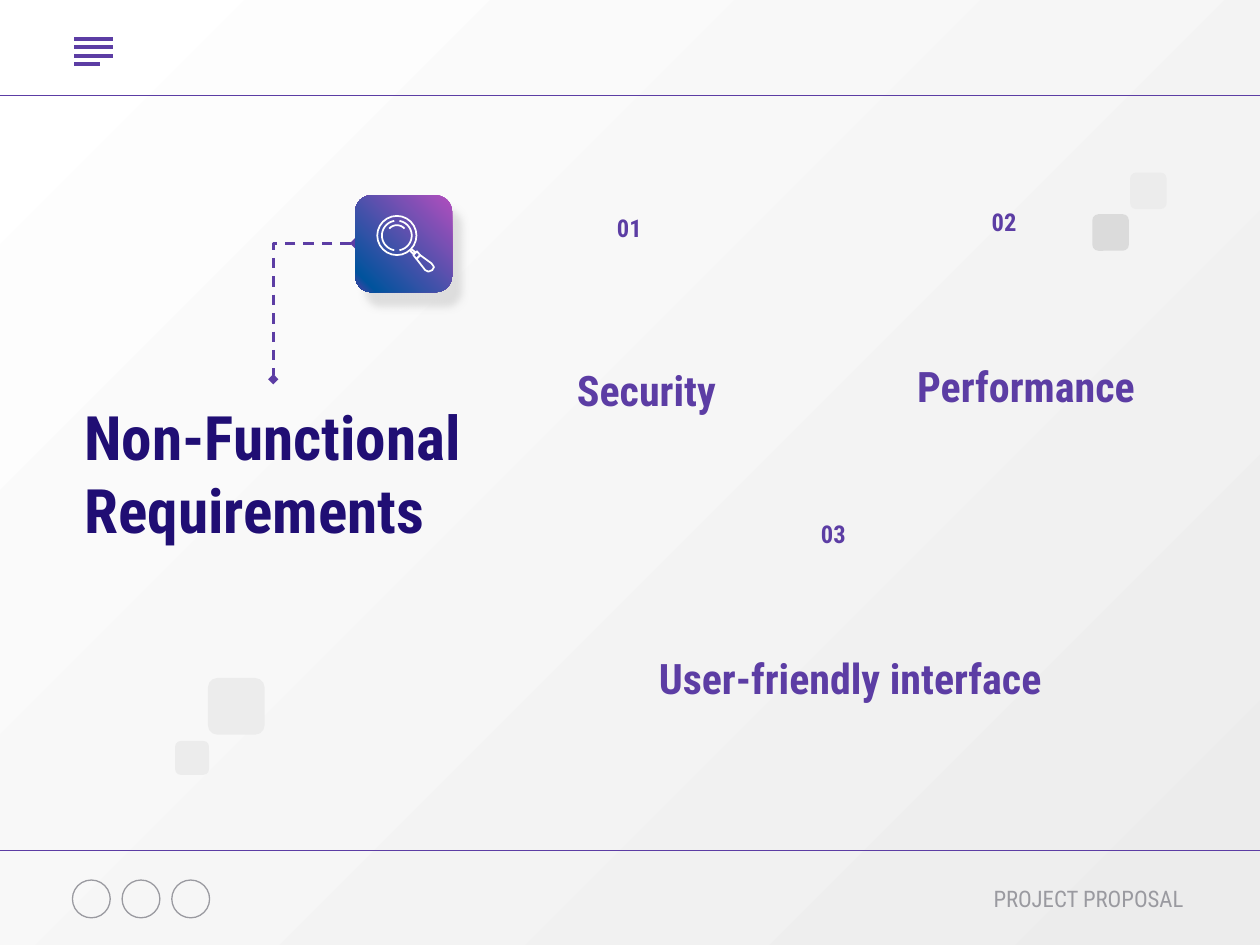
from copy import deepcopy
from math import cos, radians, sin

from lxml import etree
from pptx import Presentation
from pptx.dml.color import RGBColor
from pptx.enum.dml import MSO_LINE
from pptx.enum.shapes import MSO_CONNECTOR, MSO_SHAPE
from pptx.enum.text import MSO_ANCHOR, MSO_AUTO_SIZE, PP_ALIGN
from pptx.oxml.ns import qn
from pptx.util import Pt

LEFT, CENTER, RIGHT = PP_ALIGN.LEFT, PP_ALIGN.CENTER, PP_ALIGN.RIGHT
TOP, MIDDLE = MSO_ANCHOR.TOP, MSO_ANCHOR.MIDDLE
STRAIGHT, ELBOW = MSO_CONNECTOR.STRAIGHT, MSO_CONNECTOR.ELBOW
ROUNDED, OVAL = MSO_SHAPE.ROUNDED_RECTANGLE, MSO_SHAPE.OVAL


class Theme:
    font = "Roboto Condensed"
    purple = RGBColor.from_string("5C3DA4")
    navy = RGBColor.from_string("200E74")
    gray = RGBColor.from_string("9A9AA0")
    white = RGBColor.from_string("FFFFFF")
    pale = RGBColor.from_string("ECECEC")
    silver = RGBColor.from_string("DBDBDB")
    orchid = RGBColor.from_string("B24EBE")
    blue = RGBColor.from_string("01539D")
    shadow = "CCCCCC"
    title_size, heading_size, number_size, footer_size = 35, 24, 14, 13


def write_text(holder, text, box, *, size, color, bold=True, align=LEFT,
               anchor=MIDDLE, inset=7.2):
    holder.left, holder.top, holder.width, holder.height = map(Pt, box)
    frame = holder.text_frame
    frame.word_wrap = True
    frame.auto_size = MSO_AUTO_SIZE.NONE
    frame.vertical_anchor = anchor
    frame.margin_left = frame.margin_right = Pt(7.2)
    frame.margin_top = frame.margin_bottom = Pt(inset)
    paragraph = frame.paragraphs[0]
    paragraph.alignment = align
    paragraph.line_spacing = 1.0
    paragraph.space_before = Pt(0)
    run = paragraph.add_run()
    run.text = text
    run.font.name, run.font.size, run.font.bold = Theme.font, Pt(size), bold
    run.font.color.rgb = color


def style_line(shape, color, width):
    """Give an outline its colour and width, without fill or shadow."""
    shape.line.color.rgb = color
    shape.line.width = Pt(width)
    if hasattr(shape, "fill"):
        shape.fill.background()
        shape.shadow.inherit = False
    else:
        etree.SubElement(shape._element.spPr, qn("a:effectLst"))


prs = Presentation()
prs.slide_width, prs.slide_height = Pt(720), Pt(540)
slide = prs.slides.add_slide(prs.slide_layouts[0])
shapes = slide.shapes

# Background
backdrop = slide.background.fill
backdrop.gradient()
backdrop.gradient_angle = 315
for stop, color in zip(backdrop.gradient_stops, (Theme.white, Theme.pale)):
    stop.color.rgb = color
backdrop.gradient_stops[0].position = 0
backdrop.gradient_stops[1].position = 1

# Header and footer rules, then the menu bars
rules = [(-3.6, 723.6, y, 0.75) for y in (54.7, 486)]
menu_bars = [(42.5, 56.9 if row == 3 else 64.8, 22.3 + 4.8 * row, 2.25)
             for row in range(4)]
for start, end, y, width in rules + menu_bars:
    bar = shapes.add_connector(STRAIGHT, Pt(start), Pt(y), Pt(end), Pt(y))
    style_line(bar, Theme.purple, width)

# Plain rings for the social links
for column in range(3):
    ring = shapes.add_shape(OVAL, Pt(41.4 + 28.4 * column), Pt(502.9), Pt(21.6), Pt(21.6))
    style_line(ring, Theme.gray, 0.75)

# Title and footer
write_text(shapes.title, "Non-Functional Requirements", (41, 216.7, 231.1, 106.6),
           size=Theme.title_size, color=Theme.navy)
write_text(slide.placeholders[1], "PROJECT PROPOSAL", (503.3, 497.5, 180, 31.7),
           size=Theme.footer_size, color=Theme.gray, bold=False, align=RIGHT)

# Requirements: number and heading
requirements = [
    ("01", (331.2, 118.1, 56.9, 51.1), "Security", (322.6, 170.6, 153.4, 103.7)),
    ("02", (541.4, 114.5, 64.8, 51.1), "Performance", (517, 208.1, 213.8, 24.5)),
    ("03", (444.2, 293, 64.1, 51.1), "User-friendly interface",
     (369.4, 366.5, 237.6, 41.8)),
]
for number, number_box, heading, heading_box in requirements:
    write_text(shapes.add_textbox(0, 0, 0, 0), number, number_box, size=Theme.number_size,
               color=Theme.purple, align=CENTER, anchor=TOP, inset=3.6)
    write_text(shapes.add_textbox(0, 0, 0, 0), heading, heading_box,
               size=Theme.heading_size, color=Theme.purple)

# Dashed link from the icon card down to the title
link = shapes.add_connector(ELBOW, Pt(203), Pt(139), Pt(156.2), Pt(216.7))
link._element.spPr.find(qn("a:prstGeom")).set("prst", "bentConnector2")
style_line(link, Theme.purple, 1.5)
link.line.dash_style = MSO_LINE.DASH
link_line = link._element.spPr.find(qn("a:ln"))
for end in ("a:headEnd", "a:tailEnd"):
    etree.SubElement(link_line, qn(end), type="diamond")

# Decorative tiles
tiles = [
    (624.2, 122.4, 20.9, Theme.silver),
    (645.8, 98.6, 20.9, Theme.pale),
    (118.8, 387.4, 32.4, Theme.pale),
    (100.1, 423.4, 19.4, Theme.pale),
]
for left, top, side, color in tiles:
    tile = shapes.add_shape(ROUNDED, Pt(left), Pt(top), Pt(side), Pt(side))
    tile.adjustments[0] = 0.167
    tile.fill.solid()
    tile.fill.fore_color.rgb = color
    tile.line.fill.background()
    tile.shadow.inherit = False

# Icon card with a three-stop gradient and a soft shadow
card = shapes.add_shape(ROUNDED, Pt(203), Pt(111.6), Pt(55.4), Pt(55.4))
card.adjustments[0] = 0.167
card.line.fill.background()
card.fill.gradient()
card.fill.gradient_angle = 225
stop_list = card._element.spPr.find(".//" + qn("a:gsLst"))
stop_list.append(deepcopy(stop_list[-1]))
card_stops = [(0, Theme.orchid), (0.89, Theme.blue), (1, Theme.purple)]
for stop, (position, color) in zip(card.fill.gradient_stops, card_stops):
    stop.position = position
    stop.color.rgb = color
card.shadow.inherit = False
shadow = etree.SubElement(
    card._element.spPr.find(qn("a:effectLst")), qn("a:outerShdw"),
    blurRad=str(Pt(4.5)), dist=str(Pt(9.8)), dir=str(55 * 60000),
    algn="bl", rotWithShape="0")
shadow_color = etree.SubElement(shadow, qn("a:srgbClr"), val=Theme.shadow)
etree.SubElement(shadow_color, qn("a:alpha"), val="60000")

# Magnifier: lens rim, reflections as arcs, then the handle
lens_x, lens_y, rim = 226.8, 134.6, 11.2
lens = shapes.add_shape(OVAL, Pt(lens_x - rim), Pt(lens_y - rim), Pt(2 * rim), Pt(2 * rim))
style_line(lens, Theme.white, 1)
strokes = []
for radius, first, last in [(8.5, -80, 80), (8.5, 100, 260), (5.9, 222, 318)]:
    arc = [(lens_x + radius * cos(radians(angle)), lens_y + radius * sin(radians(angle)))
           for angle in range(first, last + 1, 4)]
    strokes.append((arc, False))
neck = [(235.4, 142.6), (237.2, 144), (236.2, 145.1), (234.4, 143.3)]
ferrule = [(238.3, 143.6), (240.1, 145.8), (238, 148), (236.2, 145.8)]
grip = [(240.1, 145.8), (246.6, 150.5), (248, 152.6), (247, 154.4),
        (244.8, 155.2), (243, 154.4), (238, 148)]
strokes += [(part, True) for part in (neck, ferrule, grip)]
for points, closed in strokes:
    corners = [(Pt(x), Pt(y)) for x, y in points]
    builder = shapes.build_freeform(*corners[0])
    builder.add_line_segments(corners[1:], close=closed)
    style_line(builder.convert_to_shape(), Theme.white, 1)

prs.save("out.pptx")
